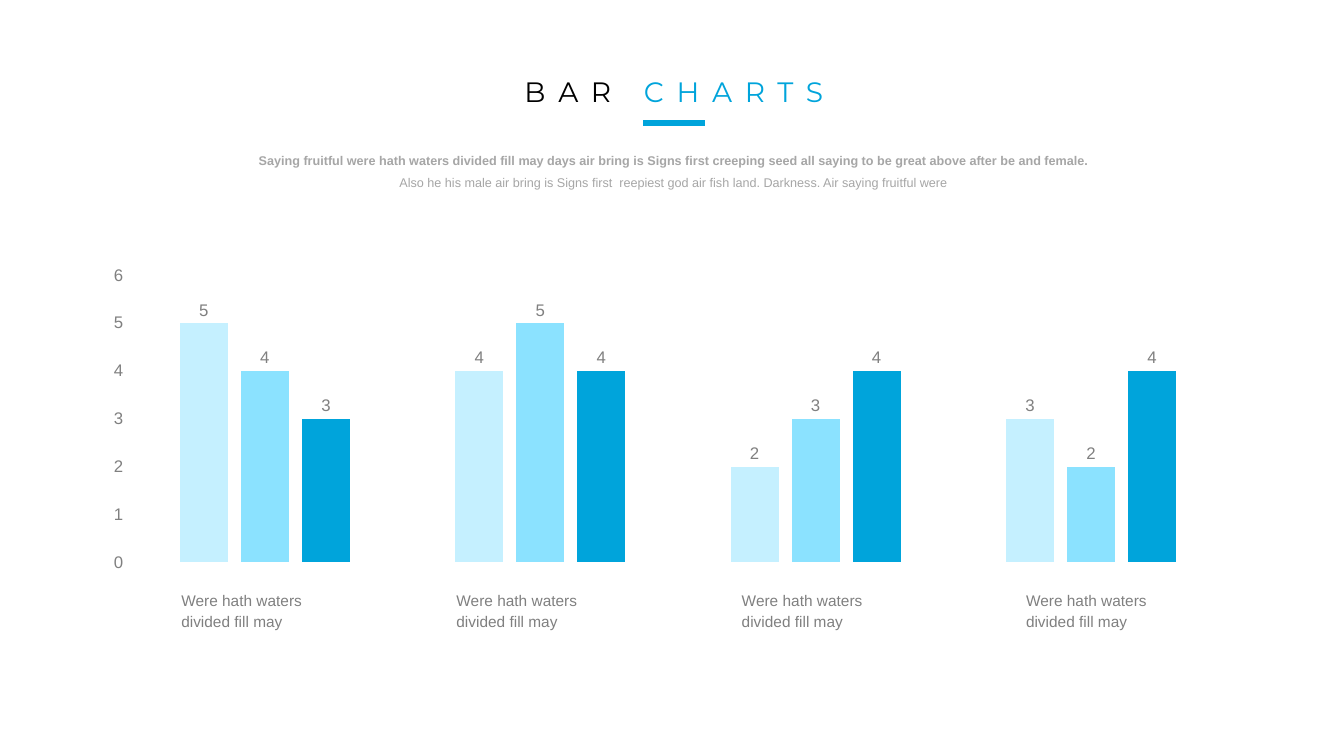
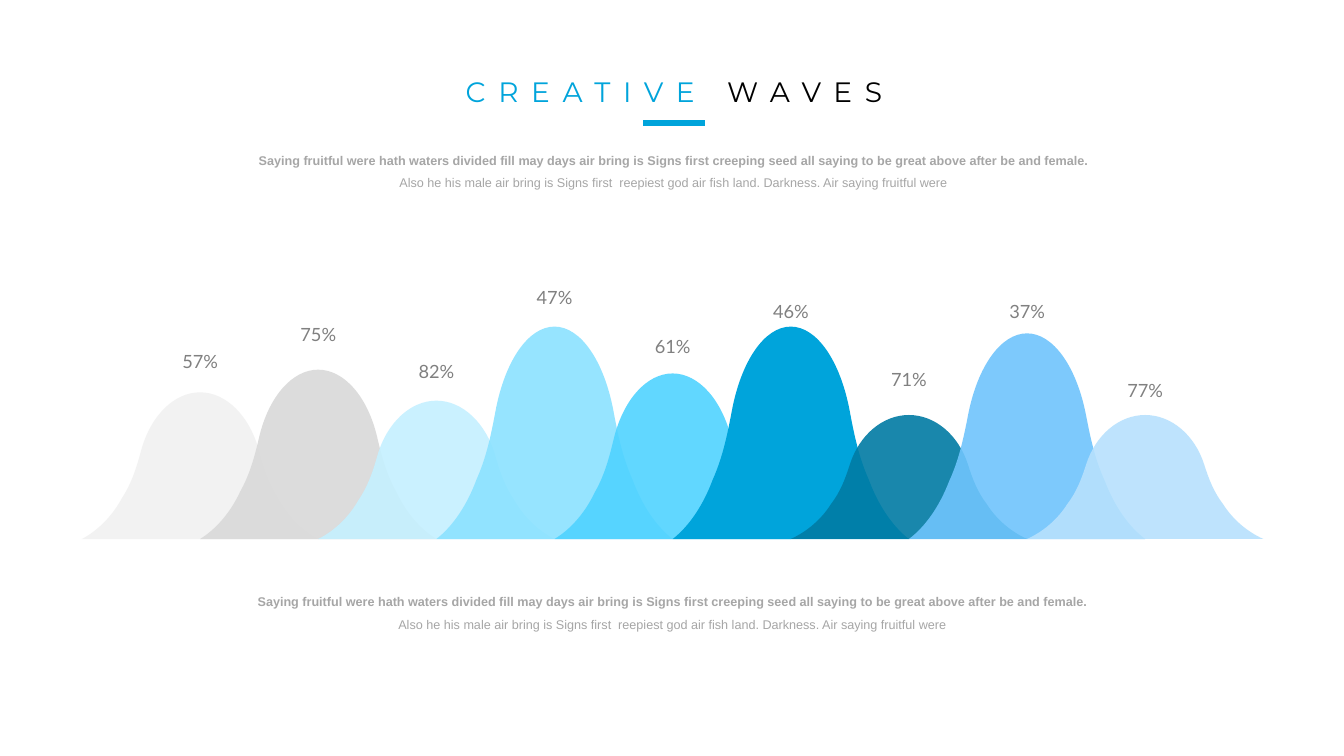
from dataclasses import dataclass

from lxml import etree
from pptx import Presentation
from pptx.chart.data import CategoryChartData
from pptx.dml.color import RGBColor
from pptx.enum.chart import XL_CHART_TYPE, XL_LABEL_POSITION, XL_TICK_MARK
from pptx.enum.shapes import MSO_CONNECTOR
from pptx.enum.text import MSO_ANCHOR, MSO_AUTO_SIZE, PP_ALIGN
from pptx.oxml.ns import qn
from pptx.util import Inches, Pt

CLUSTERED = XL_CHART_TYPE.COLUMN_CLUSTERED
ABOVE_BAR = XL_LABEL_POSITION.OUTSIDE_END
NO_TICK = XL_TICK_MARK.NONE
STRAIGHT = MSO_CONNECTOR.STRAIGHT
GROW = MSO_AUTO_SIZE.SHAPE_TO_FIT_TEXT
MIDDLE = MSO_ANCHOR.MIDDLE
LEFT, CENTER = PP_ALIGN.LEFT, PP_ALIGN.CENTER


@dataclass(frozen=True)
class Theme:
    black: str = "000000"
    accent: str = "00A4DB"
    sky: str = "8BE2FF"
    ice: str = "C5F0FF"
    text: str = "808080"
    muted: str = "A6A6A6"
    body_font: str = "Arial"
    title_font: str = "Montserrat"
    number_font: str = "Lato"
    title_size: int = 20
    number_size: int = 13
    chart_size: int = 12
    caption_size: int = 11
    intro_size: int = 9
    title_tracking: int = 9
    rule_weight: int = 4


theme = Theme()
deck = Presentation()
deck.slide_width, deck.slide_height = Inches(13.33), Inches(7.5)
COL, ROW = deck.slide_width / 100, deck.slide_height / 100

title_style = {"name": theme.title_font, "size": Pt(theme.title_size)}
bold_style = {"name": theme.body_font, "size": Pt(theme.intro_size), "bold": True}
plain_style = {**bold_style, "bold": False}
caption_style = {"name": theme.body_font, "size": Pt(theme.caption_size)}
number_style = {"name": theme.number_font, "size": Pt(theme.number_size)}
chart_style = {"name": theme.body_font, "size": Pt(theme.chart_size)}


def add_text(slide, box, paragraphs, align=CENTER, spacing=1.0, tracking=0, **frame_format):
    left, top, width, height = box
    area = slide.shapes.add_textbox(
        round(left * COL), round(top * ROW), round(width * COL), round(height * ROW))
    frame = area.text_frame
    for name, value in {"word_wrap": True, "auto_size": GROW, **frame_format}.items():
        setattr(frame, name, value)
    for index, pieces in enumerate(paragraphs):
        paragraph = frame.add_paragraph() if index else frame.paragraphs[0]
        paragraph.alignment, paragraph.line_spacing = align, spacing
        for words, color, style in pieces:
            run = paragraph.add_run()
            run.text = words
            for name, value in style.items():
                setattr(run.font, name, value)
            run.font.color.rgb = RGBColor.from_string(color)
            if tracking:
                run.font._element.set("spc", str(tracking * 100))


intro = [
    [("Saying fruitful were hath waters divided fill may days air bring is Signs first "
      "creeping seed all saying to be great above after be and female.",
      theme.muted, bold_style)],
    [("Also he his male air bring is Signs first  reepiest god air fish land. "
      "Darkness. Air saying fruitful were", theme.muted, plain_style)],
]
headings = [
    [("BAR ", theme.black), ("CHARTS", theme.accent)],
    [("CREATIVE", theme.accent), (" WAVES", theme.black)],
]
slides = []
for heading in headings:
    slide = deck.slides.add_slide(deck.slide_layouts[6])
    slides.append(slide)
    add_text(slide, (13.5, 18.53, 73.2, 7.07), intro, spacing=1.5)
    rule = slide.shapes.add_connector(
        STRAIGHT, round(47.85 * COL), round(16.27 * ROW),
        round(52.42 * COL), round(16.27 * ROW))
    rule.line.color.rgb = RGBColor.from_string(theme.accent)
    rule.line.width = Pt(theme.rule_weight)
    etree.SubElement(rule._element.spPr, qn("a:effectLst"))
    add_text(slide, (30.75, 9.2, 38.78, 5.87),
             [[(words, color, title_style) for words, color in heading]],
             tracking=theme.title_tracking)
bars_slide, waves_slide = slides

bar_series = [
    ("Series 1", (5, 4, 2, 3), theme.ice),
    ("Series 2", (4, 5, 3, 2), theme.sky),
    ("Series 3", (3, 4, 4, 4), theme.accent),
]
bar_data = CategoryChartData()
bar_data.categories = ["1", "2", "3", "4"]
for series_name, values, color in bar_series:
    bar_data.add_series(series_name, values)
bars = bars_slide.shapes.add_chart(
    CLUSTERED, round(6.75 * COL), round(34.4 * ROW),
    round(86.4 * COL), round(42 * ROW), bar_data).chart
plot, scale = bars.plots[0], bars.value_axis
plot.has_data_labels = True
bars.category_axis.visible = False
scale.format.line.fill.background()
for part, settings in (
    (bars, {"has_legend": False, "has_title": False}),
    (plot, {"gap_width": 219, "overlap": -27, "vary_by_categories": False}),
    (plot.data_labels, {"show_value": True, "position": ABOVE_BAR}),
    (scale, {"minimum_scale": 0, "maximum_scale": 6, "major_unit": 1,
             "has_major_gridlines": False, "major_tick_mark": NO_TICK,
             "minor_tick_mark": NO_TICK}),
    (bars.font, chart_style),
    (scale.tick_labels.font, chart_style),
    (plot.data_labels.font, chart_style),
):
    for name, value in settings.items():
        setattr(part, name, value)
for font in (bars.font, scale.tick_labels.font, plot.data_labels.font):
    font.color.rgb = RGBColor.from_string(theme.text)
for series, (series_name, values, color) in zip(plot.series, bar_series):
    series.format.fill.solid()
    series.format.fill.fore_color.rgb = RGBColor.from_string(color)

for caption_left in (12.75, 33.22, 54.45, 75.6):
    add_text(bars_slide, (caption_left, 77.2, 11.93, 6.93),
             [[("Were hath waters divided fill may", theme.text, caption_style)]],
             align=LEFT, spacing=Pt(15))

rising = [
    (0, 1),
    (0.07, 0.94), (0.13, 0.84), (0.17, 0.72),
    (0.21, 0.62), (0.23, 0.52), (0.25, 0.4),
    (0.29, 0.16), (0.39, 0), (0.5, 0),
]
outline = rising + [(1 - x, y) for x, y in reversed(rising[:-1])]

FIRST_WAVE, PITCH, BASELINE = 6.1, 8.79, 71.3
waves = [
    ("57%", 19.4, 45.2, "F2F2F2", 100),
    ("75%", 22.4, 41.6, "D9D9D9", 90),
    ("82%", 18.3, 46.53, theme.ice, 90),
    ("47%", 28.1, 36.67, theme.sky, 90),
    ("61%", 21.9, 43.2, "50D3FF", 90),
    ("46%", 28.1, 38.53, theme.accent, 100),
    ("71%", 16.4, 47.6, "007BA4", 90),
    ("37%", 27.2, 38.53, "6FC4FC", 90),
    ("77%", 16.4, 48.93, "B7E1FD", 90),
]
for index, (share, height, label_top, color, opacity) in enumerate(waves):
    left = FIRST_WAVE + index * PITCH
    points = [(round((left + x * 2 * PITCH) * COL),
               round((BASELINE - (1 - y) * height) * ROW)) for x, y in outline]
    builder = waves_slide.shapes.build_freeform(*points[0])
    builder.add_line_segments(points[1:], close=True)
    wave = builder.convert_to_shape()
    segments = list(wave._element.iter(qn("a:lnTo")))
    for bend, pull, end in zip(segments[::3], segments[1::3], segments[2::3]):
        bend.tag = qn("a:cubicBezTo")
        for segment in (pull, end):
            bend.append(segment[0])
            segment.getparent().remove(segment)
    wave.shadow.inherit = False
    wave.line.fill.background()
    wave.fill.solid()
    wave.fill.fore_color.rgb = RGBColor.from_string(color)
    if opacity < 100:
        tint = wave._element.spPr.find(qn("a:solidFill"))[0]
        etree.SubElement(tint, qn("a:alpha"), val=str(opacity * 1000))

label_margins = {f"margin_{side}": Inches(0.06) for side in ("left", "right", "top", "bottom")}
for index, (share, height, label_top, color, opacity) in enumerate(waves):
    center = FIRST_WAVE + (index + 1) * PITCH
    add_text(waves_slide, (center - 3.15, label_top, 6.3, 4.67),
             [[(share, theme.text, number_style)]],
             spacing=1.2, vertical_anchor=MIDDLE, **label_margins)
add_text(waves_slide, (13.42, 76.93, 73.2, 7.07), intro, spacing=1.5)

deck.save("out.pptx")
